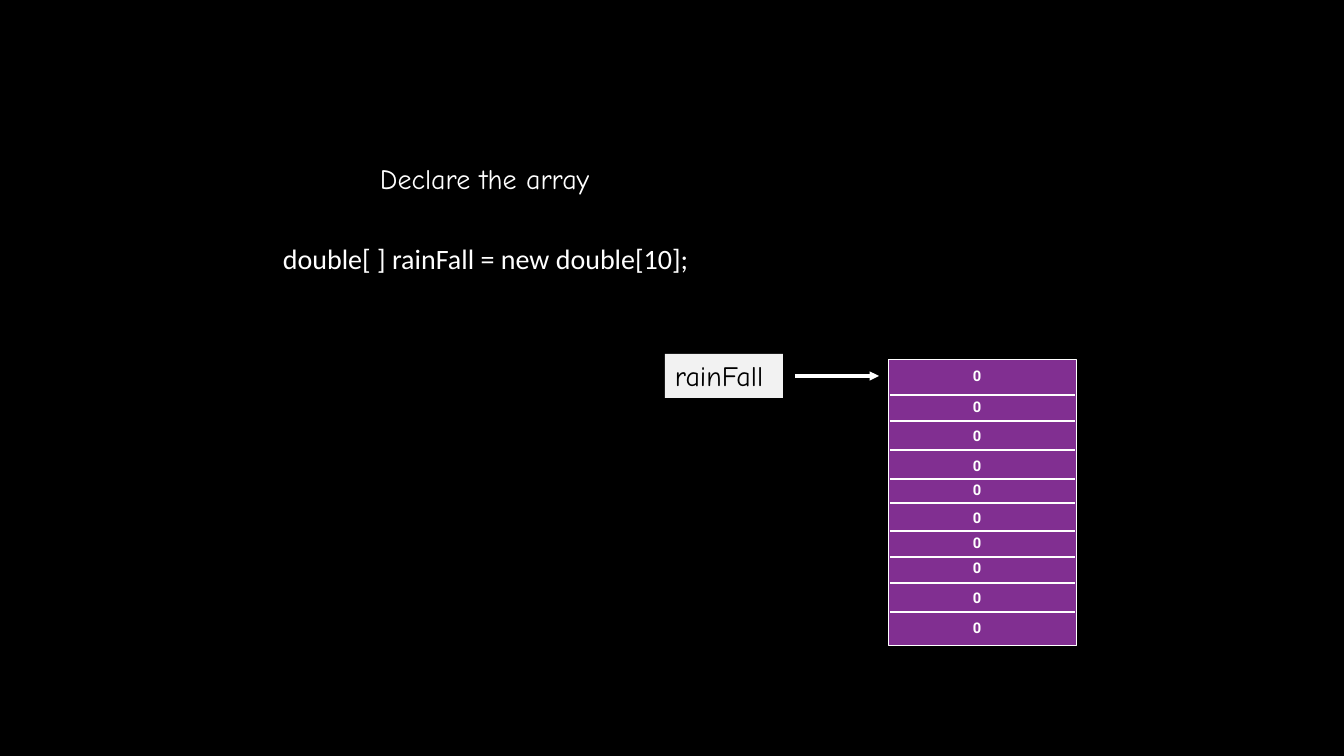
from pptx import Presentation
from pptx.dml.color import RGBColor as RGB
from pptx.enum.shapes import MSO_CONNECTOR as CON, MSO_SHAPE as SHAPE
from pptx.enum.text import MSO_ANCHOR as ANCHOR, MSO_AUTO_SIZE as FIT, PP_ALIGN as ALIGN
from pptx.oxml.ns import qn
from pptx.util import Pt
from lxml.etree import SubElement

PX = 914400 / 100.8
HUES = {"back": "000000", "ink": "FFFFFF", "cell": "812F91",
        "label": "F2F2F2", "dark": "000000"}

deck = Presentation()
deck.slide_width, deck.slide_height = round(1344 * PX), round(756 * PX)
slide = deck.slides.add_slide(deck.slide_layouts[6])
slide.background.fill.solid()
slide.background.fill.fore_color.rgb = RGB.from_string(HUES["back"])


def write(box, text, font, size, hue="ink", wrap=False):
    frame = box.text_frame
    frame.text = text
    frame.word_wrap = wrap
    frame.auto_size = FIT.SHAPE_TO_FIT_TEXT
    frame.vertical_anchor = ANCHOR.TOP
    para = frame.paragraphs[0]
    para.alignment = ALIGN.LEFT
    run = para.runs[0]
    run.font.name = font
    run.font.size = Pt(size)
    run.font.color.rgb = RGB.from_string(HUES[hue])
    return run


def rule(left, right, top, width):
    line = slide.shapes.add_connector(
        CON.STRAIGHT, *(round(n * PX) for n in (left, top, right, top)))
    line.line.color.rgb = RGB.from_string(HUES["ink"])
    line.line.width = Pt(width)
    SubElement(line._element.spPr, qn("a:effectLst"))
    return line


# Heading and declaration
for text, font, spot in (
        ("double[ ] rainFall = new double[10];", "Calibri", (273, 237, 429, 44)),
        ("Declare the array", "Comic Neue", (370, 157, 253, 43))):
    box = slide.shapes.add_textbox(*(round(n * PX) for n in spot))
    write(box, text, font, 20)

# Array block and variable label
parts = {}
for name, spot in (("cell", (889, 360, 188, 286)), ("label", (665, 354, 118, 44))):
    part = slide.shapes.add_shape(SHAPE.RECTANGLE, *(round(n * PX) for n in spot))
    part.shadow.inherit = False
    part.fill.solid()
    part.fill.fore_color.rgb = RGB.from_string(HUES[name])
    parts[name] = part
parts["cell"].line.color.rgb = RGB.from_string(HUES["ink"])
parts["cell"].line.width = Pt(0.75)
parts["label"].line.fill.background()
write(parts["label"], "rainFall", "Comic Neue", 20, "dark")

# Cell dividers
for top in (395, 421, 450, 479, 503, 531, 557, 583, 612):
    rule(890, 1075, top, 1.5)

# Arrow from variable to array
arrow = rule(795, 879, 376, 2.25)
SubElement(arrow.line._get_or_add_ln(), qn("a:tailEnd"), type="triangle")

# Initial values
for top in (362, 393, 422, 452, 476, 504, 529, 554, 584, 614):
    box = slide.shapes.add_textbox(*(round(n * PX) for n in (963, top, 24, 29)))
    write(box, "0", "Roboto", 10.5, wrap=True).font.bold = True

deck.save("out.pptx")
